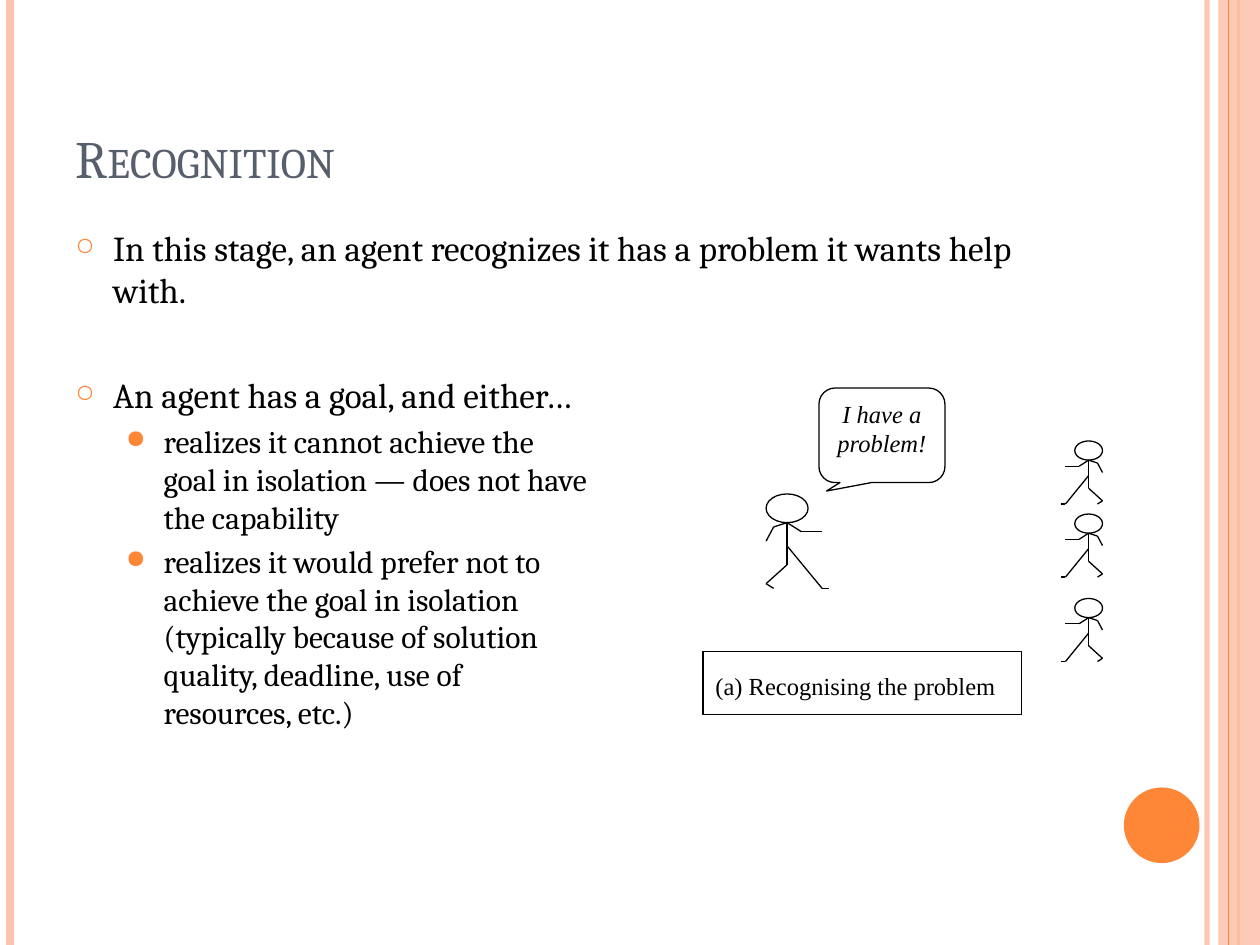
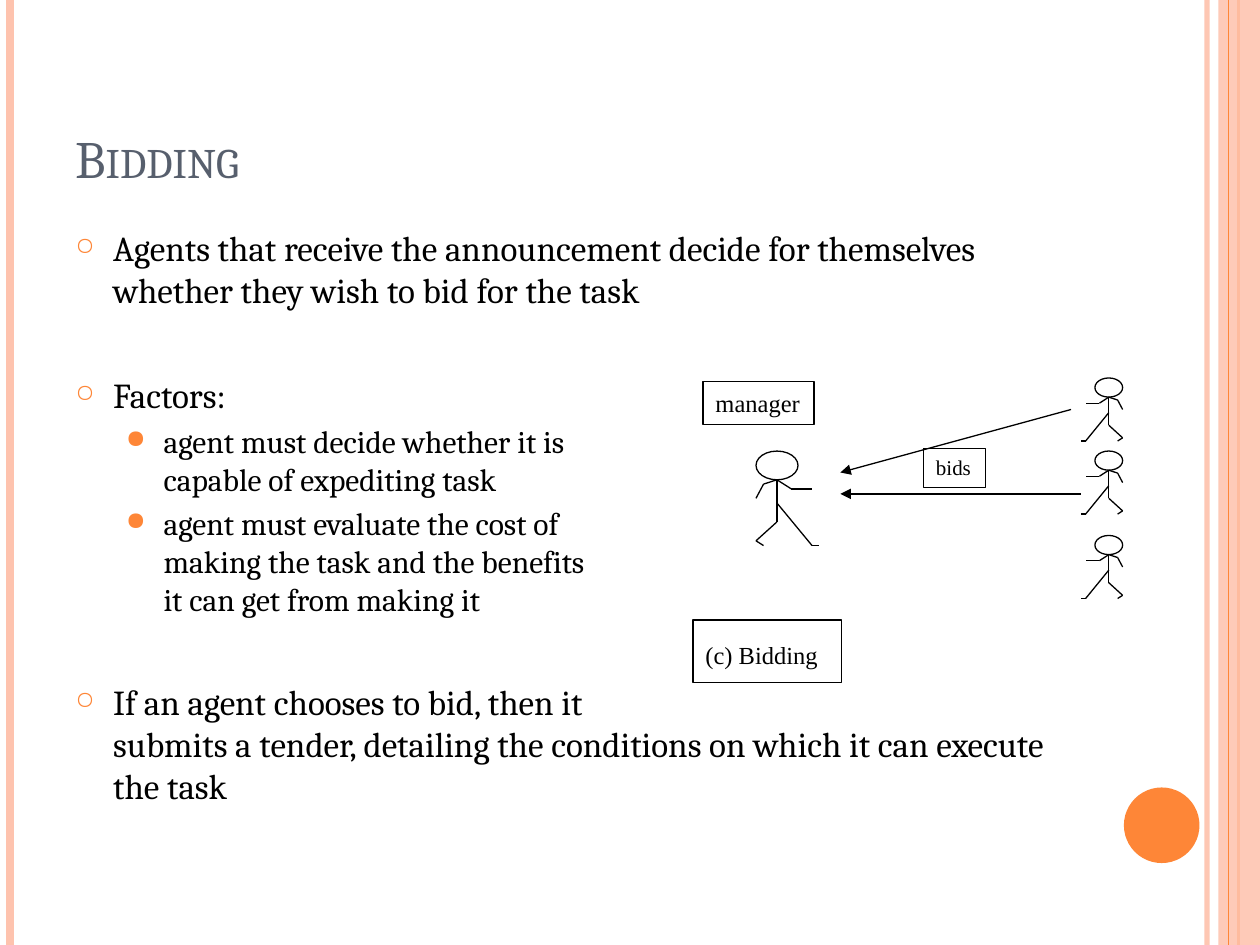
"""Build two slides on the recognition and bidding stages of task sharing."""
import dataclasses
import itertools

import pptx
import pptx.dml.color
import pptx.enum.shapes
import pptx.enum.text
import pptx.oxml
import pptx.oxml.ns
import pptx.util

Inches = pptx.util.Inches
Pt = pptx.util.Pt
PRESET = pptx.enum.shapes.MSO_SHAPE
ANCHOR = pptx.enum.text.MSO_ANCHOR


@dataclasses.dataclass(frozen=True)
class Theme:
    """Colours, fonts and sizes shared by the slides."""
    peach: str = "FEC3AE"
    orange: str = "FE8637"
    slate: str = "575F6D"
    ink: str = "000000"
    text_font: str = "Cambria"
    sketch_font: str = "Times New Roman"
    title_size: float = 30
    point_size: float = 20
    detail_size: float = 18
    label_size: float = 14
    small_label_size: float = 12
    sketch_line: float = 0.75


THEME = Theme()
POINT = {"indent": 0.3, "bullet": "○", "scale": 70, "size": THEME.point_size, "before": 6}
SPACED_POINT = {**POINT, "before": 36}
DETAIL = {"indent": 0.7, "bullet": "●", "scale": 80, "size": THEME.detail_size, "before": 3.6}

HEAD = (0.667, 0.304)
NECK, HIP, CROTCH = (0.333, 0.304), (0.333, 0.55), (0.333, 0.75)
LIMBS = (
    (NECK, HIP, CROTCH, (0, 0.95), (0.12, 1)),
    (HIP, (0.89, 1), (1, 1)),
    (NECK, (0.12, 0.35), (0, 0.5)),
    (NECK, (0.56, 0.4), (0.89, 0.4)),
)
BIDDER_OFFSETS = (0, 0.58, 1.25)


def rgb(colour):
    """Turn a hex string into a colour."""
    return pptx.dml.color.RGBColor.from_string(colour)


def apply_format(target, values):
    """Set each named attribute on the target."""
    for name, value in values.items():
        setattr(target, name, value)


def add_element(parent, tag, **attributes):
    """Append a drawing element with the given attributes."""
    child = pptx.oxml.parse_xml(f"<a:{tag} {pptx.oxml.ns.nsdecls('a')}/>")
    for name, value in attributes.items():
        child.set(name, str(value))
    parent.append(child)
    return child


def set_opacity(shape, percent):
    """Make the colours of a shape partly transparent."""
    for colour in shape.element.spPr.iter(pptx.oxml.ns.qn("a:srgbClr")):
        add_element(colour, "alpha", val=percent * 1000)


def add_line(shapes, start, end, colour=THEME.ink, width=THEME.sketch_line, arrow=False):
    """Draw a straight line, with an optional arrowhead at its start."""
    line = shapes.add_connector(pptx.enum.shapes.MSO_CONNECTOR.STRAIGHT,
                                *map(Inches, (*start, *end)))
    line.line.color.rgb = rgb(colour)
    line.line.width = Pt(width)
    if arrow:
        add_element(line.line._get_or_add_ln(), "headEnd", type="triangle")
    add_element(line.element.spPr, "effectLst")
    return line


def add_shape(shapes, preset, box, fill=None):
    """Draw a filled shape without outline, or an unfilled one in sketch line."""
    shape = shapes.add_shape(preset, *map(Inches, box))
    shape.shadow.inherit = False
    if fill:
        shape.fill.solid()
        shape.fill.fore_color.rgb = rgb(fill)
        shape.line.fill.background()
    else:
        shape.fill.background()
        shape.line.color.rgb = rgb(THEME.ink)
        shape.line.width = Pt(THEME.sketch_line)
    return shape


def write_run(paragraph, text, colour, **font):
    """Write the text of a paragraph in one format, keeping its line breaks."""
    paragraph.text = text
    for run in paragraph.runs:
        apply_format(run.font, font)
        run.font.color.rgb = rgb(colour)


def add_frame(slide):
    """Draw the side bands and the page disc."""
    def band(x, colour, width):
        return add_line(slide.shapes, (x, 0), (x, 7.5), colour, width)

    set_opacity(band(9.58, THEME.peach, 3), 93)
    band(0.08, THEME.peach, 4.5)
    band(9.83, THEME.orange, 1.5)
    set_opacity(add_shape(slide.shapes, PRESET.RECTANGLE, (9.67, 0, 0.33, 7.5), THEME.peach), 87)
    band(9.75, THEME.orange, 0.75)
    add_shape(slide.shapes, PRESET.OVAL, (8.92, 6.25, 0.6, 0.6), THEME.orange)


def add_title(slide, text):
    """Write the small-caps title."""
    frame = slide.shapes.add_textbox(*map(Inches, (0.5, 0.3, 8.17, 1.25))).text_frame
    apply_format(frame, {"word_wrap": True, "vertical_anchor": ANCHOR.BOTTOM})
    title = frame.paragraphs[0]
    write_run(title, text, THEME.slate, name=THEME.text_font, size=Pt(THEME.title_size))
    title.runs[0]._r.get_or_add_rPr().set("cap", "small")


def add_bullet(paragraph, style):
    """Give a paragraph its hanging indent and orange bullet."""
    properties = paragraph._p.get_or_add_pPr()
    properties.set("marL", str(Inches(style["indent"])))
    properties.set("indent", str(Inches(-0.3)))
    add_element(add_element(properties, "buClr"), "srgbClr", val=THEME.orange)
    add_element(properties, "buSzPct", val=style["scale"] * 1000)
    add_element(properties, "buChar", char=style["bullet"])


def add_body(slide, points):
    """Write the bulleted points."""
    frame = slide.shapes.add_textbox(*map(Inches, (0.5, 1.75, 8.17, 5.33))).text_frame
    frame.word_wrap = True
    for index, (style, text) in enumerate(points):
        paragraph = frame.add_paragraph() if index else frame.paragraphs[0]
        add_bullet(paragraph, style)
        paragraph.level = int(style is DETAIL)
        paragraph.space_before = Pt(style["before"] if index else 0)
        write_run(paragraph, text, THEME.ink, name=THEME.text_font, size=Pt(style["size"]))


def add_agent(slide, left, top, width, height, facing_left=False):
    """Draw a stick figure as one group."""
    def place(point):
        across = 1 - point[0] if facing_left else point[0]
        return left + width * across, top + height * point[1]

    figure = slide.shapes.add_group_shape().shapes
    head_left = place((HEAD[0] if facing_left else 0, 0))[0]
    add_shape(figure, PRESET.OVAL, (head_left, top, width * HEAD[0], height * HEAD[1]))
    for limb in LIMBS:
        for start, end in itertools.pairwise(limb):
            add_line(figure, place(start), place(end))


def add_agents(slide, manager, bidders):
    """Draw the manager and the column of bidders facing it."""
    add_agent(slide, *manager, 0.5, 0.75)
    left, top = bidders
    for offset in BIDDER_OFFSETS:
        add_agent(slide, left, top + offset, 0.33, 0.5, facing_left=True)


def add_label(slide, text, box, size=THEME.label_size, **layout):
    """Write a label in an outlined box."""
    frame = add_shape(slide.shapes, PRESET.RECTANGLE, box).text_frame
    apply_format(frame, {"word_wrap": True, "margin_right": 0,
                         "vertical_anchor": ANCHOR.TOP, **layout})
    frame.paragraphs[0].alignment = pptx.enum.text.PP_ALIGN.LEFT
    write_run(frame.paragraphs[0], text, THEME.ink, name=THEME.sketch_font, size=Pt(size))


def add_caption(slide, text, left, top, width):
    """Write the caption of a sketch low in its box."""
    add_label(slide, text, (left, top, width, 0.5),
              vertical_anchor=ANCHOR.BOTTOM, margin_bottom=Inches(0.11))


def add_speech(slide, text, box):
    """Draw a speech balloon pointing down to the left."""
    balloon = add_shape(slide.shapes, PRESET.ROUNDED_RECTANGULAR_CALLOUT, box)
    for index, value in enumerate((-0.44, 0.59, 0.17)):
        balloon.adjustments[index] = value
    frame = balloon.text_frame
    apply_format(frame, {"word_wrap": True, "vertical_anchor": ANCHOR.TOP})
    frame.paragraphs[0].alignment = pptx.enum.text.PP_ALIGN.CENTER
    write_run(frame.paragraphs[0], text, THEME.ink, name=THEME.sketch_font,
              size=Pt(THEME.label_size), italic=True)


def add_slide(deck, title, points):
    """Add a framed slide with its title and points."""
    slide = deck.slides.add_slide(deck.slide_layouts[6])
    add_frame(slide)
    add_title(slide, title)
    add_body(slide, points)
    return slide


def add_recognition(deck):
    """Build the recognition slide."""
    slide = add_slide(deck, "Recognition", (
        (POINT, "In this stage, an agent recognizes it has a problem it wants help with."),
        (SPACED_POINT, "An agent has a goal, and either…"),
        (DETAIL, "realizes it cannot achieve the\ngoal in isolation — does not have\n"
                 "the capability"),
        (DETAIL, "realizes it would prefer not to\nachieve the goal in isolation\n"
                 "(typically because of solution\nquality, deadline, use of\nresources, etc.)"),
    ))
    add_agents(slide, manager=(6.08, 3.92), bidders=(8.42, 3.5))
    add_speech(slide, "I have a problem!", (6.5, 3.08, 1, 0.75))
    add_caption(slide, "(a) Recognising the problem", 5.58, 5.17, 2.53)


def add_bidding(deck):
    """Build the bidding slide."""
    slide = add_slide(deck, "Bidding", (
        (POINT, "Agents that receive the announcement decide for themselves "
                "whether they wish to bid for the task"),
        (SPACED_POINT, "Factors:"),
        (DETAIL, "agent must decide whether it is\ncapable of expediting task"),
        (DETAIL, "agent must evaluate the cost of\nmaking the task and the benefits\n"
                 "it can get from making it"),
        (SPACED_POINT, "If an agent chooses to bid, then it\nsubmits a tender, detailing "
                       "the conditions on which it can execute the task"),
    ))
    add_agents(slide, manager=(6, 3.58), bidders=(8.58, 3))
    add_line(slide.shapes, (6.67, 3.75), (8.5, 3.25), arrow=True)
    add_line(slide.shapes, (6.67, 3.92), (8.58, 3.92), arrow=True)
    add_label(slide, "manager", (5.58, 3.03, 0.88, 0.34))
    add_label(slide, "bids", (7.33, 3.56, 0.49, 0.31), THEME.small_label_size)
    add_caption(slide, "(c) Bidding", 5.5, 4.92, 1.18)


def main():
    """Build and save the deck."""
    deck = pptx.Presentation()
    apply_format(deck, {"slide_width": Inches(10), "slide_height": Inches(7.5)})
    add_recognition(deck)
    add_bidding(deck)
    deck.save("out.pptx")


if __name__ == "__main__":
    main()
